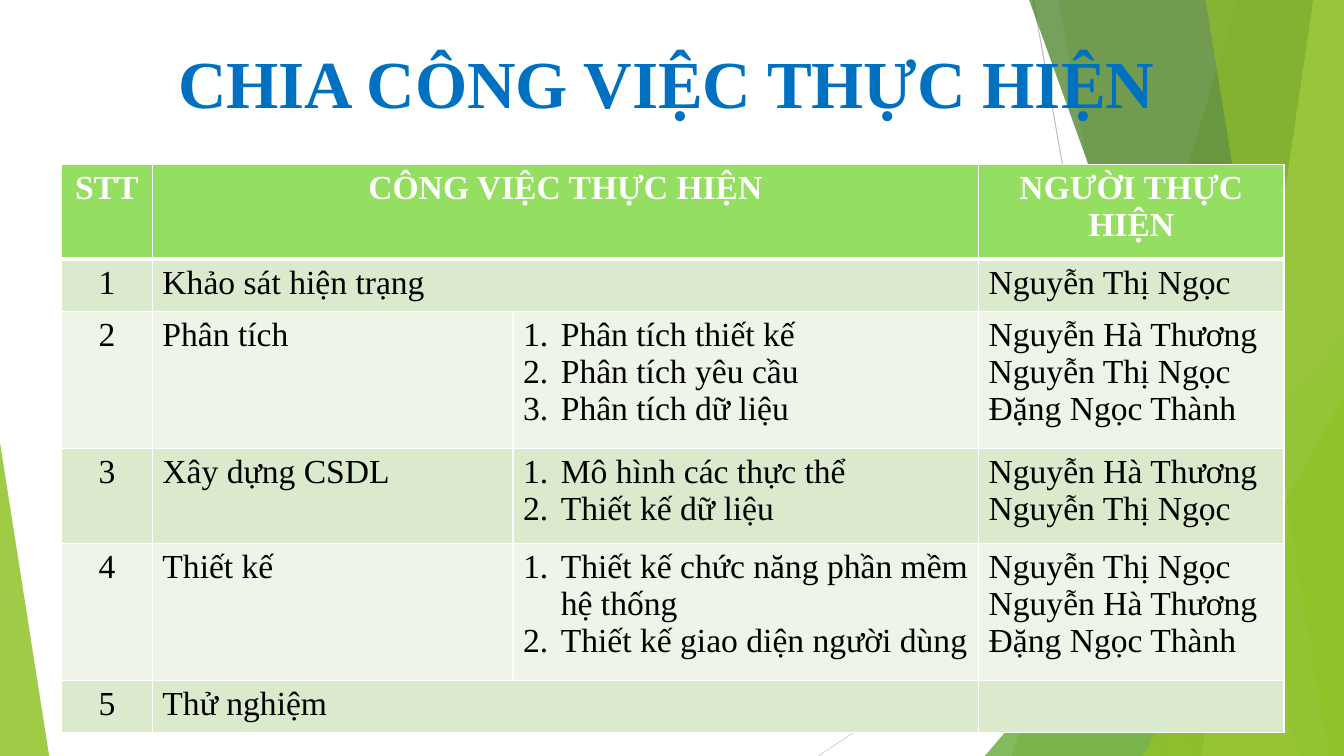
from dataclasses import dataclass

from lxml import etree
from pptx import Presentation
from pptx.dml.color import RGBColor
from pptx.enum.shapes import MSO_CONNECTOR, MSO_SHAPE
from pptx.enum.text import PP_ALIGN
from pptx.oxml.ns import qn
from pptx.util import Cm, Pt

STRAIGHT = MSO_CONNECTOR.STRAIGHT
TRIANGLE = MSO_SHAPE.ISOSCELES_TRIANGLE
LEFT, CENTER = PP_ALIGN.LEFT, PP_ALIGN.CENTER
BLANK_LAYOUT = 6
WIDTH, HEIGHT = 33.87, 19.05


@dataclass(frozen=True)
class Theme:
    font: str = "Times New Roman"
    title_size: int = 48
    table_size: int = 24
    title: str = "0070C0"
    text: str = "000000"
    white: str = "FFFFFF"
    header: str = "94DE61"
    bands: tuple = ("DBE9CD", "EEF4E8")
    green: str = "90C226"
    mid_green: str = "54A021"
    dark_green: str = "3F7819"
    light_green: str = "C0E474"
    dark_line: str = "BFBFBF"
    light_line: str = "D9D9D9"


THEME = Theme()

COLUMN_WIDTHS = (2.29, 9.09, 11.73, 7.7)
ROW_HEIGHTS = (2.39, 1.32, 3.45, 2.39, 3.45, 1.32)
HEADERS = ("STT", "CÔNG VIỆC THỰC HIỆN", "NGƯỜI THỰC HIỆN")
NGOC, THUONG, THANH = "Nguyễn Thị Ngọc", "Nguyễn Hà Thương", "Đặng Ngọc Thành"
TASKS = (
    ("Khảo sát hiện trạng", (), (NGOC,)),
    ("Phân tích", ("Phân tích thiết kế", "Phân tích yêu cầu", "Phân tích dữ liệu"),
     (THUONG, NGOC, THANH)),
    ("Xây dựng CSDL", ("Mô hình các thực thể", "Thiết kế dữ liệu"), (THUONG, NGOC)),
    ("Thiết kế", ("Thiết kế chức năng phần mềm hệ thống", "Thiết kế giao diện người dùng"),
     (NGOC, THUONG, THANH)),
    ("Thử nghiệm", (), ()),
)


def write_text(frame, lines, size=THEME.table_size, color=THEME.text, bold=False,
               align=LEFT, numbered=False):
    """Fill a text frame with one paragraph per line."""
    for index, line in enumerate(lines):
        paragraph = frame.add_paragraph() if index else frame.paragraphs[0]
        paragraph.alignment = align
        run = paragraph.add_run()
        run.text = line
        run.font.name = THEME.font
        run.font.size = Pt(size)
        run.font.bold = bold
        run.font.color.rgb = RGBColor.from_string(color)
        if numbered:
            number_paragraph(paragraph)


def number_paragraph(paragraph):
    properties = paragraph._p.get_or_add_pPr()
    properties.set("marL", str(Cm(0.95)))
    properties.set("indent", str(-Cm(0.95)))
    etree.SubElement(properties, qn("a:buFont"), typeface="+mj-lt")
    etree.SubElement(properties, qn("a:buAutoNum"), type="arabicPeriod")


def paint(shape, color, opacity):
    """Give a shape a translucent fill without outline or shadow."""
    shape.shadow.inherit = False
    shape.line.fill.background()
    shape.fill.solid()
    shape.fill.fore_color.rgb = RGBColor.from_string(color)
    color_element = shape._element.spPr.find(qn("a:solidFill"))[0]
    etree.SubElement(color_element, qn("a:alpha"), val=str(opacity * 1000))


def add_thin_line(slide, start, end, color):
    line = slide.shapes.add_connector(STRAIGHT, *map(Cm, start + end))
    line.line.width = Pt(0.75)
    line.line.color.rgb = RGBColor.from_string(color)
    etree.SubElement(line._element.spPr, qn("a:effectLst"))


def add_edge_facet(slide, top_x, bottom_x, color, opacity):
    """Add a full-height facet between a slanted edge and the right slide edge."""
    builder = slide.shapes.build_freeform(Cm(top_x), Cm(-0.02))
    corners = ((WIDTH, -0.02), (WIDTH, HEIGHT), (bottom_x, HEIGHT))
    builder.add_line_segments([(Cm(x), Cm(y)) for x, y in corners], close=True)
    paint(builder.convert_to_shape(), color, opacity)


def add_corner_triangle(slide, left, width, height, apex, color, opacity):
    """Add a triangle standing on the bottom edge; apex is 0 (left) to 1 (right)."""
    shape = slide.shapes.add_shape(
        TRIANGLE, Cm(left), Cm(HEIGHT - height), Cm(width), Cm(height))
    shape.adjustments[0] = apex
    paint(shape, color, opacity)


def add_background(slide):
    add_thin_line(slide, (26.04, 0), (29.42, HEIGHT), THEME.dark_line)
    add_thin_line(slide, (WIDTH, 10.24), (20.62, HEIGHT), THEME.light_line)
    add_edge_facet(slide, 31.19, 25.5, THEME.green, 30)
    add_edge_facet(slide, 26.67, 30.05, THEME.green, 20)
    add_corner_triangle(slide, 24.82, 9.05, 10.59, 1, THEME.mid_green, 72)
    add_edge_facet(slide, 25.93, 32.79, THEME.dark_green, 70)
    add_edge_facet(slide, 33.1, 30.28, THEME.light_green, 70)
    add_edge_facet(slide, 30.38, 33.48, THEME.green, 65)
    add_corner_triangle(slide, 28.8, 5.07, 9.07, 1, THEME.green, 80)
    add_corner_triangle(slide, 0, 1.24, 7.9, 0, THEME.green, 85)


def add_title(slide):
    box = slide.shapes.add_textbox(Cm(4.24), Cm(0.91), Cm(25.37), Cm(2.31))
    box.text_frame.word_wrap = False
    write_text(box.text_frame, ["CHIA CÔNG VIỆC THỰC HIỆN"], size=THEME.title_size,
               color=THEME.title, bold=True)


def style_cell(cell, color, top=1, bottom=1):
    """Set a cell's fill and its white borders, with widths in points."""
    cell.fill.solid()
    cell.fill.fore_color.rgb = RGBColor.from_string(color)
    properties = cell._tc.get_or_add_tcPr()
    borders = (("a:lnL", 1), ("a:lnR", 1), ("a:lnT", top), ("a:lnB", bottom))
    for index, (tag, width) in enumerate(borders):
        border = etree.Element(qn(tag), w=str(Pt(width)))
        fill = etree.SubElement(border, qn("a:solidFill"))
        etree.SubElement(fill, qn("a:srgbClr"), val=THEME.white)
        properties.insert(index, border)


def add_task_table(slide):
    table = slide.shapes.add_table(
        len(ROW_HEIGHTS), len(COLUMN_WIDTHS), Cm(1.55), Cm(4.14),
        Cm(sum(COLUMN_WIDTHS)), Cm(sum(ROW_HEIGHTS))).table
    for column, width in zip(table.columns, COLUMN_WIDTHS):
        column.width = Cm(width)
    for index, (row, height) in enumerate(zip(table.rows, ROW_HEIGHTS)):
        row.height = Cm(height)
        color = THEME.bands[(index - 1) % 2] if index else THEME.header
        for cell in row.cells:
            style_cell(cell, color, top=3 if index == 1 else 1, bottom=1 if index else 3)

    table.cell(0, 1).merge(table.cell(0, 2))
    for column, header in zip((0, 1, 3), HEADERS):
        write_text(table.cell(0, column).text_frame, [header], color=THEME.white,
                   bold=True, align=CENTER)
    for number, (task, steps, people) in enumerate(TASKS, start=1):
        if not steps:
            table.cell(number, 1).merge(table.cell(number, 2))
        frames = [cell.text_frame for cell in table.rows[number].cells]
        write_text(frames[0], [str(number)], align=CENTER)
        write_text(frames[1], [task])
        write_text(frames[2], steps, numbered=True)
        write_text(frames[3], people)


def main():
    presentation = Presentation()
    presentation.slide_width, presentation.slide_height = Cm(WIDTH), Cm(HEIGHT)
    slide = presentation.slides.add_slide(presentation.slide_layouts[BLANK_LAYOUT])
    add_background(slide)
    add_title(slide)
    add_task_table(slide)
    presentation.save("out.pptx")


if __name__ == "__main__":
    main()
